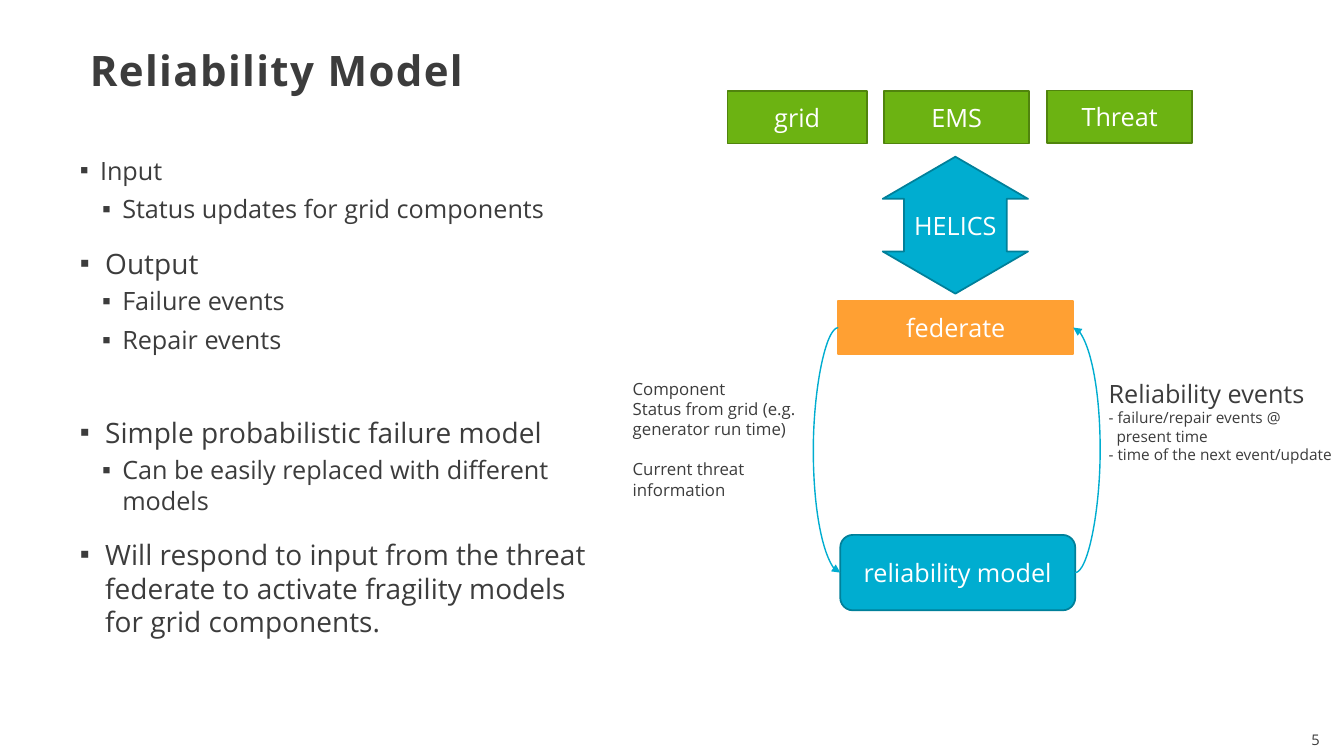
import pptx
import pptx.util
import pptx.dml.color
import pptx.enum.shapes
import pptx.enum.text
import pptx.oxml.ns
import lxml.etree

Cm, Pt = pptx.util.Cm, pptx.util.Pt
RGB = pptx.dml.color.RGBColor
SHAPE = pptx.enum.shapes.MSO_SHAPE
ALIGN = pptx.enum.text.PP_ALIGN
ANCHOR = pptx.enum.text.MSO_ANCHOR
qn = pptx.oxml.ns.qn

FONT = "Open Sans"
INK = RGB(0x3C, 0x3C, 0x3C)
WHITE = RGB(0xFF, 0xFF, 0xFF)
GREEN = RGB(0x6C, 0xB3, 0x12)
DARK_GREEN = RGB(0x50, 0x84, 0x0D)
BLUE = RGB(0x00, 0xAD, 0xD0)
DARK_BLUE = RGB(0x00, 0x80, 0x9A)
ORANGE = RGB(0xFF, 0xA0, 0x33)

# Level, text, space before in points
BULLETS = [
    (1, "Input", 2),
    (1, "Status updates for grid components", 2),
    (0, "Output", 12),
    (1, "Failure events", 2),
    (1, "Repair events", 2),
    (0, "Simple probabilistic failure model", 39.5),
    (1, "Can be easily replaced with different models", 2),
    (0, "Will respond to input from the threat federate to activate "
        "fragility models for grid components.", 12),
]


def place(sp, box):
    sp.left, sp.top, sp.width, sp.height = (Cm(v) for v in box)


def style(p, size, color=INK, bold=False):
    for r in p.runs:
        r.font.name, r.font.size, r.font.bold = FONT, Pt(size), bold
        r.font.color.rgb = color


def hang(p, margin, indent):
    pPr = p._p.get_or_add_pPr()
    pPr.set("marL", str(Cm(margin)))
    pPr.set("indent", str(-Cm(indent)))
    return pPr


def set_guides(sp, *values):
    """Set the preset's adj1, adj2, ... as fractions."""
    guides = sp._element.spPr.find(qn("a:prstGeom")).get_or_add_avLst()
    for guide in list(guides):
        guides.remove(guide)
    for i, value in enumerate(values, 1):
        guide = lxml.etree.SubElement(guides, qn("a:gd"))
        guide.set("name", f"adj{i}")
        guide.set("fmla", f"val {round(value * 100000)}")


def add_title(s, box):
    sp = s.shapes.title
    place(sp, box)
    tf = sp.text_frame
    tf.text = "Reliability Model"
    tf.auto_size = pptx.enum.text.MSO_AUTO_SIZE.NONE
    tf.vertical_anchor = ANCHOR.MIDDLE
    p = tf.paragraphs[0]
    p.alignment, p.line_spacing = ALIGN.LEFT, 0.85
    style(p, 30, bold=True)
    p.runs[0].font._element.set("spc", "100")


def add_bullets(s, box):
    sp = s.placeholders[1]
    place(sp, box)
    tf = sp.text_frame
    tf.text = "\n".join(text for _, text, _ in BULLETS)
    tf.auto_size = pptx.enum.text.MSO_AUTO_SIZE.NONE
    tf.vertical_anchor = ANCHOR.TOP
    tf.margin_left = tf.margin_right = 0
    for i, (p, (level, _, before)) in enumerate(zip(tf.paragraphs, BULLETS)):
        p.level = level
        p.space_before, p.space_after = Pt(before), Pt(4 if level else 2)
        style(p, 18 if level else 20)
        if i == 0:
            pPr = hang(p, 0.51, 0.51)
        elif level:
            pPr = hang(p, 1.07, 0.51)
        else:
            pPr = hang(p, 0.64, 0.64)
        lxml.etree.SubElement(pPr, qn("a:buFont")).set("typeface", "Arial")
        lxml.etree.SubElement(pPr, qn("a:buChar")).set("char", "▪")


def add_block(s, kind, box, text, fill, line):
    sp = s.shapes.add_shape(kind, *(Cm(v) for v in box))
    sp.shadow.inherit = False
    sp.fill.solid()
    sp.fill.fore_color.rgb = fill
    sp.line.color.rgb, sp.line.width = line, Pt(1.25)
    tf = sp.text_frame
    tf.text = text
    tf.margin_left = tf.margin_right = 0
    tf.vertical_anchor = ANCHOR.MIDDLE
    tf.paragraphs[0].alignment = ALIGN.CENTER
    style(tf.paragraphs[0], 18, WHITE)
    return sp


def add_label(s, box, lines):
    """Place a text box whose lines are (text, size) pairs."""
    sp = s.shapes.add_textbox(*(Cm(v) for v in box))
    tf = sp.text_frame
    tf.word_wrap = True
    tf.margin_right = 0
    tf.text = "\n".join(text for text, _ in lines)
    for p, (_, size) in zip(tf.paragraphs, lines):
        style(p, size)
    return tf


def add_loop_arrow(s, start, end, bulge):
    """Curve from start to end, bowing sideways by bulge from start."""
    c = s.shapes.add_connector(pptx.enum.shapes.MSO_CONNECTOR.CURVE, *start, *end)
    c.line.color.rgb, c.line.width = BLUE, Pt(1)
    set_guides(c, bulge / (end[0] - start[0]))
    tail = lxml.etree.SubElement(c.line._get_or_add_ln(), qn("a:tailEnd"))
    tail.set("type", "triangle")
    lxml.etree.SubElement(c._element.spPr, qn("a:effectLst"))


def add_diagram(s, box):
    x, y, w, _ = box

    # Federates on the bus
    for text, dx, dy, width in [("grid", 2.64, 0.02, 3.51),
                                ("EMS", 6.58, 0.02, 3.66),
                                ("Threat", 10.69, 0, 3.66)]:
        add_block(s, SHAPE.RECTANGLE, (x + dx, y + dy, width, 1.32),
                  text, GREEN, DARK_GREEN)

    # Bus arrow
    bus = add_block(s, SHAPE.UP_DOWN_ARROW, (x + 6.55, y + 1.67, 3.66, 3.45),
                    "HELICS", BLUE, DARK_BLUE)
    set_guides(bus, 0.707, 0.308)
    bus.text_frame.word_wrap = False

    # Federate and model, joined by a loop
    federate = add_block(s, SHAPE.RECTANGLE, (x + 5.43, y + 5.3, 5.92, 1.35),
                         "federate", ORANGE, ORANGE)
    model = add_block(s, SHAPE.ROUNDED_RECTANGLE, (x + 5.48, y + 11.2, 5.92, 1.9),
                      "reliability model", BLUE, DARK_BLUE)
    federate_y = federate.top + federate.height // 2
    model_y = model.top + model.height // 2
    add_loop_arrow(s, (federate.left, federate_y), (model.left, model_y), -Cm(0.63))
    add_loop_arrow(s, (model.left + model.width, model_y),
                   (federate.left + federate.width, federate_y), Cm(0.63))

    # Loop labels
    tf = add_label(s, (x, y + 7.13, 4.98, 3.33),
                   [("Component", 12),
                    ("Status from grid (e.g. generator run time)", 12),
                    ("Current threat information", 12)])
    tf.paragraphs[2].space_before = Pt(14.5)
    tf = add_label(s, (x + 11.99, y + 7.13, w - 11.99, 2.44),
                   [("Reliability events", 18),
                    ("- failure/repair events @\vpresent time", 11),
                    ("- time of the next event/update", 11)])
    hang(tf.paragraphs[1], 0.2, 0.2)


def add_page_number(s, box):
    tf = add_label(s, box, [("5", 10.5)])
    tf.margin_right = Cm(0.25)
    tf.paragraphs[0].alignment = ALIGN.RIGHT


def main():
    prs = pptx.Presentation()
    prs.slide_width, prs.slide_height = Cm(33.86), Cm(19.05)
    s = prs.slides.add_slide(prs.slide_layouts[1])
    add_title(s, (2.01, 1.24, 27.66, 1.24))
    add_bullets(s, (2.01, 3.78, 12.85, 13.06))
    add_diagram(s, (15.69, 2.28, 18.17, 13.1))
    add_page_number(s, (31.75, 18.29, 1.75, 0.74))
    prs.save("out.pptx")


if __name__ == "__main__":
    main()
